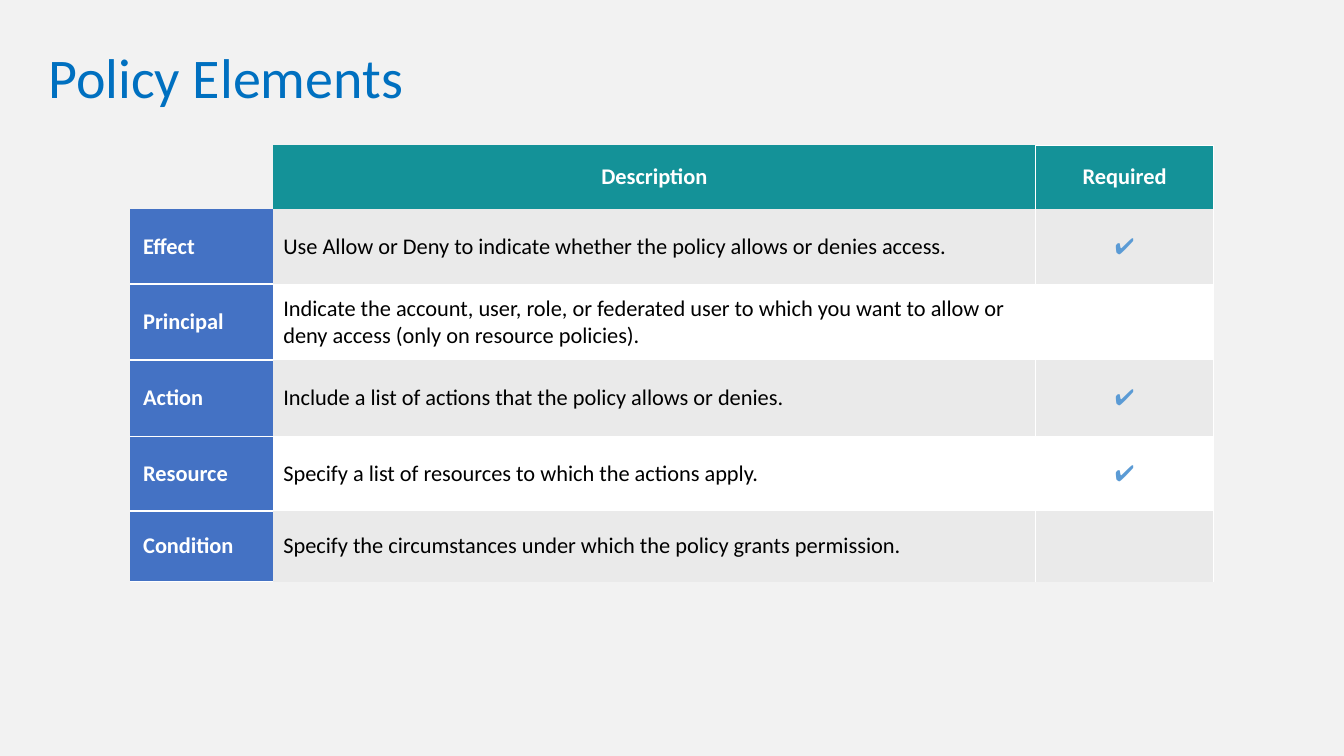
from lxml.etree import SubElement
from pptx import Presentation
from pptx.dml.color import RGBColor
from pptx.enum.text import MSO_ANCHOR, PP_ALIGN
from pptx.oxml.ns import qn
from pptx.util import Inches, Pt

COLORS = {
    "background": "F2F2F2",
    "title": "0070C0",
    "header": "149298",
    "element": "4472C4",
    "band": "EAEAEA",
    "white": "FFFFFF",
    "text": "000000",
    "check": "5B9BD5",
}
HEADERS = ["", "Description", "Required"]
ELEMENTS = [
    ("Effect", "Use Allow or Deny to indicate whether the policy allows or denies access.", "✔"),
    ("Principal", "Indicate the account, user, role, or federated user to which you want "
     "to allow or deny access (only on resource policies).", ""),
    ("Action", "Include a list of actions that the policy allows or denies.", "✔"),
    ("Resource", "Specify a list of resources to which the actions apply.", "✔"),
    ("Condition", "Specify the circumstances under which the policy grants permission.", ""),
]
COLUMN_WIDTHS = [1.42, 7.56, 1.77]
ROW_HEIGHTS = [0.63, 0.75, 0.75, 0.76, 0.74, 0.7]
NO_GRID_STYLE = "{2D5ABB26-0587-4C30-8999-92F81FD0307C}"


class SlideBuilder:
    """Holds the style and the current slide."""

    def __init__(self, page, font="Calibri"):
        """Set the page, its font and its background."""
        self.page = page
        self.font = font
        page.background.fill.solid()
        page.background.fill.fore_color.rgb = self.color("background")

    def color(self, name):
        """Return a named colour."""
        return RGBColor.from_string(COLORS[name])

    def format(self, para, size, color, bold=False, align=PP_ALIGN.LEFT):
        """Format a paragraph and its runs."""
        para.alignment = align
        for span in para.runs:
            span.font.name = self.font
            span.font.size = Pt(size)
            span.font.bold = bold
            span.font.color.rgb = self.color(color)

    def title(self, text, left, top, width, height):
        """Fill and place the title placeholder."""
        box = self.page.shapes.title
        box.left, box.top = Inches(left), Inches(top)
        box.width, box.height = Inches(width), Inches(height)
        box.text_frame.text = text
        box.text_frame.word_wrap = True
        box.text_frame.vertical_anchor = MSO_ANCHOR.MIDDLE
        para = box.text_frame.paragraphs[0]
        para.line_spacing = 0.9
        self.format(para, 40, "title")

    def borders(self, cell, sides, width):
        """Draw white borders on the given sides of a cell."""
        properties = cell._tc.get_or_add_tcPr()
        for position, side in enumerate(sides):
            line = SubElement(properties, qn(f"a:ln{side}"), w=str(Pt(width)))
            fill = SubElement(line, qn("a:solidFill"))
            SubElement(fill, qn("a:srgbClr"), val=COLORS["white"])
            properties.insert(position, line)

    def cell(self, cell, text, fill, color, bold=False, align=PP_ALIGN.LEFT):
        """Fill one table cell and format its text."""
        cell.text = text
        cell.vertical_anchor = MSO_ANCHOR.MIDDLE
        cell.fill.solid()
        cell.fill.fore_color.rgb = self.color(fill)
        self.format(cell.text_frame.paragraphs[0], 16, color, bold, align)

    def table(self, left, top):
        """Add the table of policy elements."""
        frame = self.page.shapes.add_table(
            len(ROW_HEIGHTS), len(COLUMN_WIDTHS), Inches(left), Inches(top),
            Inches(sum(COLUMN_WIDTHS)), Inches(sum(ROW_HEIGHTS)))
        table = frame.table
        table.first_row = table.horz_banding = False
        for style in frame.element.iter(qn("a:tableStyleId")):
            style.text = NO_GRID_STYLE
        for column, width in zip(table.columns, COLUMN_WIDTHS):
            column.width = Inches(width)
        for row, height in zip(table.rows, ROW_HEIGHTS):
            row.height = Inches(height)

        table.cell(0, 0).fill.background()
        for column in (1, 2):
            self.cell(table.cell(0, column), HEADERS[column], "header", "white",
                      True, PP_ALIGN.CENTER)
        self.borders(table.cell(0, 2), "LRT", 1)

        for row, (name, description, required) in enumerate(ELEMENTS, 1):
            band = "band" if row % 2 else "white"
            element, detail, mark = (table.cell(row, column) for column in range(3))
            self.cell(element, name, "element", "white", True)
            element.margin_left = element.margin_right = Inches(0.13)
            element.margin_top = element.margin_bottom = Inches(0.07)
            self.borders(element, "B" if row == 1 else "TB", 1.5)
            self.cell(detail, description, band, "text")
            self.cell(mark, required, band, "check", align=PP_ALIGN.CENTER)
            self.borders(mark, "LR", 1)


def main():
    """Build and save the deck."""
    deck = Presentation()
    deck.slide_width, deck.slide_height = Inches(13.33), Inches(7.5)
    builder = SlideBuilder(deck.slides.add_slide(deck.slide_layouts[5]))
    builder.title("Policy Elements", 0.38, 0.31, 12.29, 0.98)
    builder.table(1.29, 1.44)
    deck.save("out.pptx")


if __name__ == "__main__":
    main()
